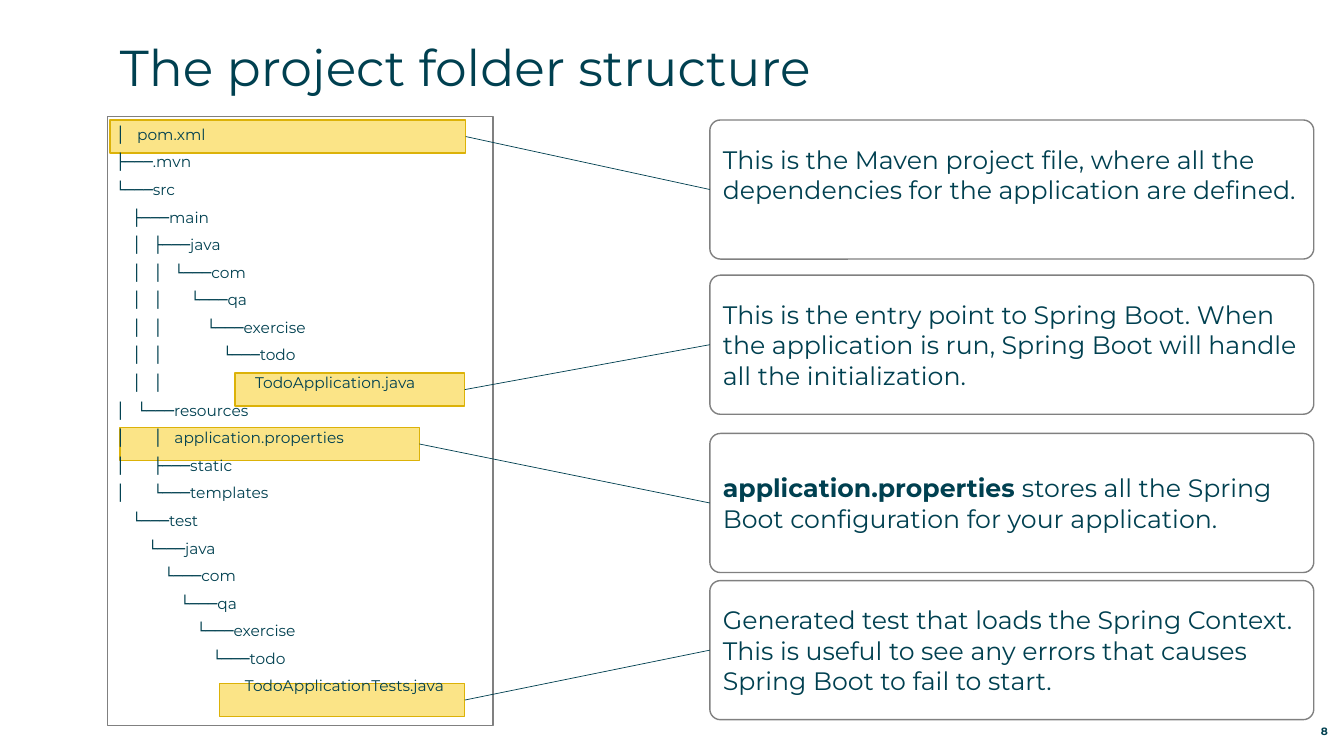
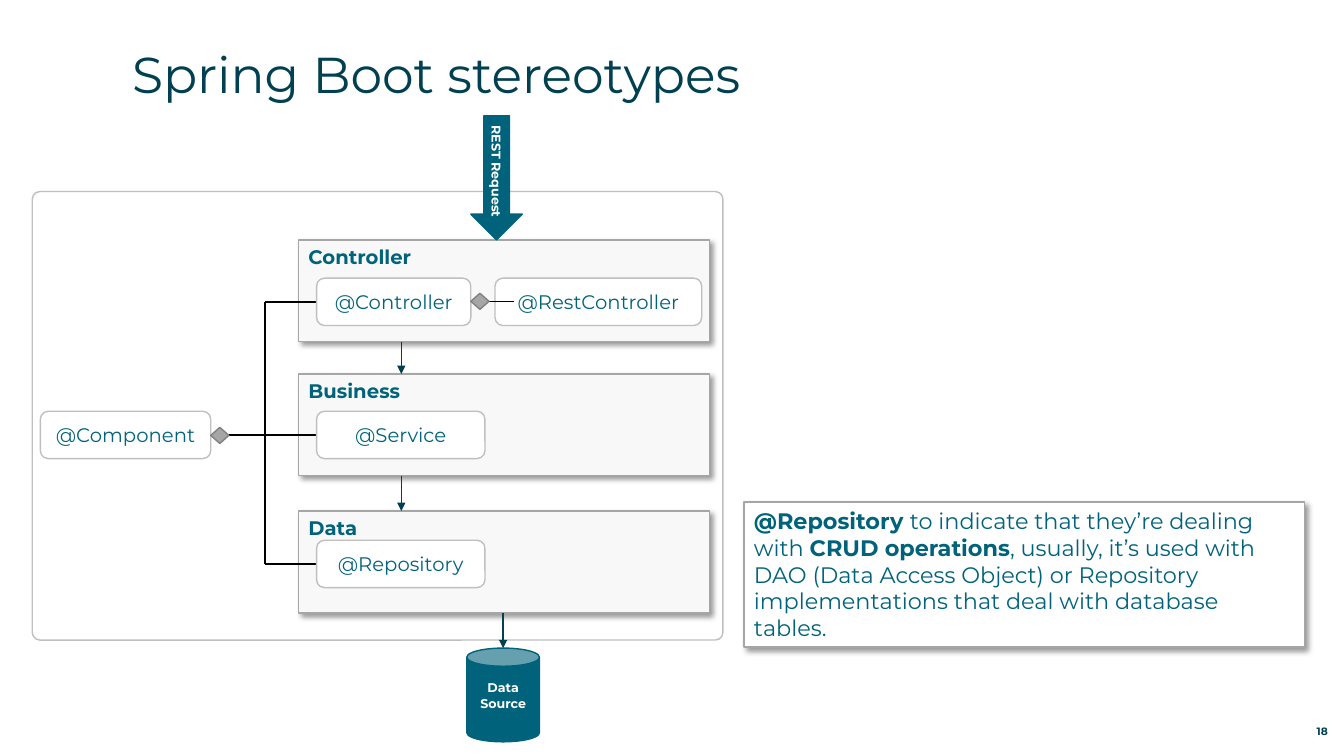
from lxml.etree import SubElement
from pptx import Presentation
from pptx.dml.color import RGBColor
from pptx.enum.shapes import MSO_CONNECTOR, MSO_SHAPE as SHAPE
from pptx.enum.text import MSO_ANCHOR as ANCHOR, PP_ALIGN as ALIGN
from pptx.oxml.ns import qn
from pptx.util import Inches, Pt

FONT = "Montserrat"
NAVY = RGBColor(0x00, 0x40, 0x50)
TEAL = RGBColor(0x00, 0x62, 0x7B)
WHITE = RGBColor(0xFF, 0xFF, 0xFF)
BLACK = RGBColor(0x00, 0x00, 0x00)
YELLOW = RGBColor(0xFB, 0xE4, 0x87)
GOLD = RGBColor(0xDC, 0xB2, 0x08)
PALE_GREY = RGBColor(0xF8, 0xF8, 0xF8)
LIGHT_GREY = RGBColor(0xBF, 0xBF, 0xBF)
MID_GREY = RGBColor(0xA6, 0xA6, 0xA6)
DARK_GREY = RGBColor(0x80, 0x80, 0x80)

# Each row: one character per level (bar or blank), then the entry itself
TREE = [
    ("│", "pom.xml"),
    ("", "├───.mvn"),
    ("", "└───src"),
    (" ", "├───main"),
    (" │", "├───java"),
    (" ││", "└───com"),
    (" ││ ", "└───qa"),
    (" ││  ", "└───exercise"),
    (" ││   ", "└───todo"),
    (" ││     ", "TodoApplication.java"),
    ("│", "└───resources"),
    ("│ │", "application.properties"),
    ("│ ", "├───static"),
    ("│ ", "└───templates"),
    (" ", "└───test"),
    (" " * 2, "└───java"),
    (" " * 3, "└───com"),
    (" " * 4, "└───qa"),
    (" " * 5, "└───exercise"),
    (" " * 6, "└───todo"),
    (" " * 8, "TodoApplicationTests.java"),
]
LEVEL_WIDTH = {" ": 0.16, "│": 0.21}

# Highlight (left, top, width), note top, note bottom inset, note runs (text, bold)
NOTES = [
    ((1.09, 1.19, 3.53), 1.19, 0.35,
     [("This is the Maven project file, where all the dependencies for the "
       "application are defined.", False)]),
    ((2.33, 3.7, 2.28), 2.73, 0.05,
     [("This is the entry point to Spring Boot. When the application is run, "
       "Spring Boot will handle all the initialization.", False)]),
    ((1.19, 4.24, 2.97), 4.3, 0.05,
     [("application.properties ", True),
      ("stores all the Spring Boot configuration for your application.", False)]),
    ((2.18, 6.78, 2.43), 5.76, 0.05,
     [("Generated test that loads the Spring Context. This is useful to see any "
       "errors that causes Spring Boot to fail to start.", False)]),
]

# Layer name, layer top, stereotype, stereotype top, stereotype width
LAYERS = [
    ("Controller", 2.38, "@Controller", 2.76, 1.53),
    ("Business", 3.71, "@Service", 4.08, 1.67),
    ("Data", 5.07, "@Repository", 5.36, 1.67),
]
REPOSITORY_NOTE = [
    ("@Repository ", True),
    ("to indicate that they’re dealing with ", False),
    ("CRUD operations", True),
    (", usually, it’s used with DAO (Data Access Object) or Repository "
     "implementations that deal with database tables.", False),
]
LAYER_LEFT, LAYER_WIDTH, LAYER_HEIGHT = 2.96, 4.08, 1.01
PILL_LEFT, PILL_HEIGHT = 3.14, 0.47
TRUNK_X, FLOW_X = 2.63, 3.98


def write(shape, runs, size, color, align=ALIGN.LEFT, anchor=ANCHOR.TOP, insets=None):
    """Fill a shape with one paragraph of (text, bold) runs; insets are left, top, right, bottom."""
    frame = shape.text_frame
    frame.word_wrap = True
    frame.vertical_anchor = anchor
    if insets:
        (frame.margin_left, frame.margin_top,
         frame.margin_right, frame.margin_bottom) = map(Inches, insets)
    paragraph = frame.paragraphs[0]
    paragraph.alignment = align
    for text, bold in runs:
        run = paragraph.add_run()
        run.text = text
        style(run.font, size, color, bold)


def style(font, size, color, bold=False):
    font.name, font.size, font.bold = FONT, Pt(size), bold
    font.color.rgb = color


def add_box(slide, kind, box, fill, line, weight=1):
    shape = slide.shapes.add_shape(kind, *map(Inches, box))
    shape.shadow.inherit = False
    if fill is None:
        shape.fill.background()
    else:
        shape.fill.solid()
        shape.fill.fore_color.rgb = fill
    shape.line.color.rgb = line
    shape.line.width = Pt(weight)
    return shape


def add_shadow(shape):
    effects = shape._element.spPr.find(qn("a:effectLst"))
    shadow = SubElement(effects, qn("a:outerShdw"), blurRad=str(Pt(4)),
                        dist=str(Pt(3)), dir=str(45 * 60000), algn="tl", rotWithShape="0")
    black = SubElement(shadow, qn("a:srgbClr"), val=str(BLACK))
    SubElement(black, qn("a:alpha"), val="40000")


def add_line(slide, start, end, color, weight=1, arrow=False):
    line = slide.shapes.add_connector(MSO_CONNECTOR.STRAIGHT, *map(Inches, start + end))
    line.line.color.rgb = color
    line.line.width = Pt(weight)
    if arrow:
        SubElement(line.line._get_or_add_ln(), qn("a:tailEnd"), type="triangle")
    SubElement(line._element.spPr, qn("a:effectLst"))
    return line


def add_label(slide, box, text, size, bold, align, anchor):
    label = slide.shapes.add_textbox(*map(Inches, box))
    write(label, [(text, bold)], size, NAVY, align, anchor, (0, 0, 0, 0))


def add_slide(prs, title, left, top, number):
    slide = prs.slides.add_slide(prs.slide_layouts[6])
    add_label(slide, (left, top, 11.44, 0.57), title, 36, False, ALIGN.LEFT, ANCHOR.TOP)
    add_label(slide, (12.31, 7.12, 0.86, 0.2), str(number), 7.6, True,
              ALIGN.RIGHT, ANCHOR.BOTTOM)
    return slide


def add_tree(slide):
    tree = add_box(slide, SHAPE.RECTANGLE, (1.07, 1.16, 3.82, 6.04), None, DARK_GREY, 0.75)
    frame = tree.text_frame
    frame.word_wrap = True
    frame.vertical_anchor = ANCHOR.TOP
    frame.margin_left = frame.margin_top = Inches(0.08)
    frame.margin_right = frame.margin_bottom = Inches(0.08)
    for index, (levels, entry) in enumerate(TREE):
        paragraph = frame.add_paragraph() if index else frame.paragraphs[0]
        text, stops, x = "", [], 0
        for level, mark in zip(levels + "+", [*levels, entry]):
            if mark != " ":
                if x:
                    text += "\t"
                    stops.append(x)
                text += mark
            x += LEVEL_WIDTH.get(level, 0)
        run = paragraph.add_run()
        run.text = text
        style(run.font, 11, NAVY)
        paragraph.alignment = ALIGN.LEFT
        paragraph.space_after = Pt(6.5)
        if stops:
            tab_list = SubElement(paragraph._p.get_or_add_pPr(), qn("a:tabLst"))
            for stop in stops:
                SubElement(tab_list, qn("a:tab"), pos=str(Inches(stop)), algn="l")


def build_folder_slide(prs):
    slide = add_slide(prs, "The project folder structure", 1.19, 0.36, 8)
    highlights = [add_box(slide, SHAPE.RECTANGLE, (*place, 0.33), YELLOW, GOLD)
                  for place, *_ in NOTES]
    add_tree(slide)
    for highlight, (_, top, bottom_inset, runs) in zip(highlights, NOTES):
        note = add_box(slide, SHAPE.ROUNDED_RECTANGLE, (7.04, top, 5.99, 1.38),
                       WHITE, DARK_GREY)
        note.adjustments[0] = 0.076
        write(note, runs, 18, NAVY, anchor=ANCHOR.MIDDLE,
              insets=(0.1, 0.05, 0.1, bottom_inset))
        link = add_line(slide, (0, 0), (1, 1), NAVY, 0.5)
        link.begin_connect(highlight, 3)
        link.end_connect(note, 1)


def add_pill(slide, text, left, top, width):
    pill = add_box(slide, SHAPE.ROUNDED_RECTANGLE, (left, top, width, PILL_HEIGHT),
                   WHITE, LIGHT_GREY)
    write(pill, [(text, False)], 14, TEAL, ALIGN.CENTER, ANCHOR.MIDDLE)


def add_diamond(slide, left, top):
    add_box(slide, SHAPE.FLOWCHART_DECISION, (left, top, 0.18, 0.16), MID_GREY, DARK_GREY)


def build_stereotype_slide(prs):
    slide = add_slide(prs, "Spring Boot stereotypes", 1.31, 0.43, 18)
    application = add_box(slide, SHAPE.ROUNDED_RECTANGLE, (0.32, 1.9, 6.85, 4.45),
                          WHITE, LIGHT_GREY)
    application.adjustments[0] = 0.017

    branches = []
    for name, top, stereotype, pill_top, pill_width in LAYERS:
        layer = add_box(slide, SHAPE.RECTANGLE, (LAYER_LEFT, top, LAYER_WIDTH, LAYER_HEIGHT),
                        PALE_GREY, MID_GREY)
        add_shadow(layer)
        write(layer, [(name, True)], 14, TEAL)
        branch_y = pill_top + PILL_HEIGHT / 2
        branches.append(branch_y)
        add_line(slide, (PILL_LEFT, branch_y), (TRUNK_X, branch_y), BLACK)
        add_pill(slide, stereotype, PILL_LEFT, pill_top, pill_width)
    add_line(slide, (TRUNK_X, branches[0]), (TRUNK_X, branches[-1]), BLACK)
    for upper, lower in zip(LAYERS, LAYERS[1:]):
        add_line(slide, (FLOW_X, upper[1] + LAYER_HEIGHT), (FLOW_X, lower[1]), NAVY, arrow=True)

    add_pill(slide, "@Component", 0.4, 4.08, 1.69)
    add_line(slide, (2.27, branches[1]), (TRUNK_X, branches[1]), BLACK)
    add_diamond(slide, 2.09, 4.24)
    add_pill(slide, "@RestController", 4.91, 2.76, 2.05)
    add_line(slide, (5.1, 2.99), (4.85, 2.99), BLACK)
    add_diamond(slide, 4.67, 2.91)

    request = add_box(slide, SHAPE.RIGHT_ARROW, (4.31, 1.51, 1.23, 0.51), TEAL, TEAL)
    request.rotation = 90
    write(request, [("REST Request", True)], 9, WHITE, ALIGN.CENTER, ANCHOR.MIDDLE, (0, 0, 0, 0))

    source = add_box(slide, SHAPE.CAN, (4.63, 6.43, 0.72, 0.93), TEAL, TEAL)
    write(source, [("Data Source", True)], 9, WHITE, ALIGN.CENTER, ANCHOR.MIDDLE,
          (0.05, 0, 0.05, 0.08))
    add_line(slide, (4.99, LAYERS[-1][1] + LAYER_HEIGHT), (4.99, 6.43), NAVY, arrow=True)

    note = add_box(slide, SHAPE.RECTANGLE, (7.38, 4.98, 5.56, 1.44), WHITE, MID_GREY)
    add_shadow(note)
    write(note, REPOSITORY_NOTE, 16, TEAL)


def main():
    prs = Presentation()
    prs.slide_width, prs.slide_height = Inches(13.33), Inches(7.5)
    build_folder_slide(prs)
    build_stereotype_slide(prs)
    prs.save("out.pptx")


if __name__ == "__main__":
    main()
